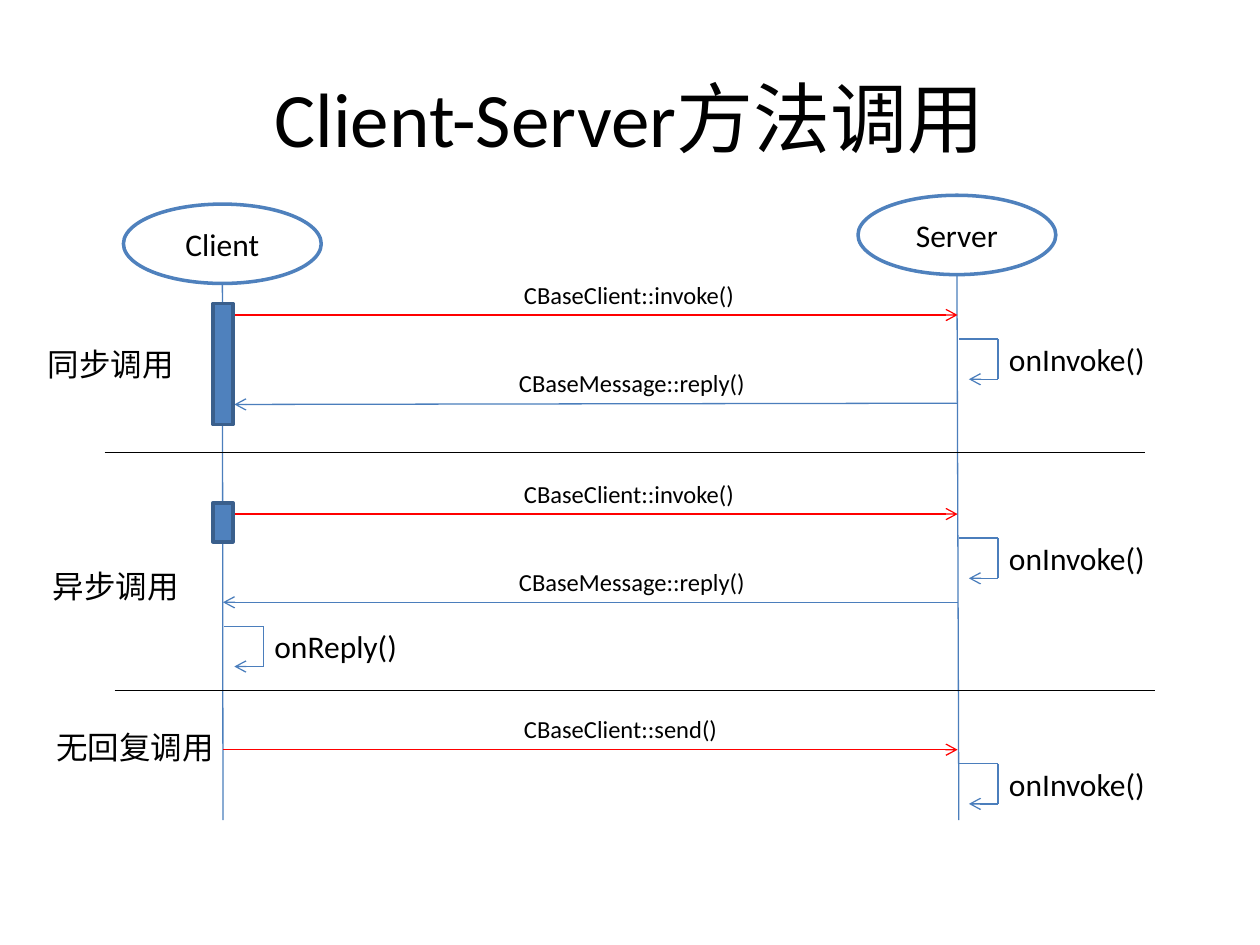
from dataclasses import dataclass

from lxml.etree import SubElement
from pptx import Presentation
from pptx.dml.color import RGBColor as RGB
from pptx.enum.shapes import MSO_CONNECTOR as Link, MSO_SHAPE as Shape
from pptx.enum.text import MSO_ANCHOR as Anchor, PP_ALIGN as Align
from pptx.oxml.ns import qn
from pptx.util import Inches, Pt


@dataclass(frozen=True)
class Theme:
    font: str = "Calibri"
    ink: RGB = RGB(0, 0, 0)
    paper: RGB = RGB(255, 255, 255)
    blue: RGB = RGB(0x4F, 0x81, 0xBD)
    edge: RGB = RGB(0x3A, 0x5F, 0x8C)
    wire: RGB = RGB(0x4B, 0x7E, 0xBC)
    call: RGB = RGB(255, 0, 0)
    title: int = 44
    body: int = 18
    note: int = 14
    thin: float = 0.75
    thick: float = 2


THEME = Theme()
CLIENT, SERVER = 1.77, 7.6
BASE = 6.51


def write(frame, words, size, align=Align.LEFT, anchor=Anchor.TOP):
    frame.word_wrap = True
    frame.vertical_anchor = anchor
    para = frame.paragraphs[0]
    para.alignment = align
    run = para.add_run()
    run.text = words
    run.font.name = THEME.font
    run.font.size = Pt(size)
    run.font.color.rgb = THEME.ink


def add_text(slide, box, words, size, **style):
    area = slide.shapes.add_textbox(*map(Inches, box))
    write(area.text_frame, words, size, **style)


def add_block(slide, kind, box, fill, edge):
    block = slide.shapes.add_shape(kind, *map(Inches, box))
    block.shadow.inherit = False
    block.fill.solid()
    block.fill.fore_color.rgb = fill
    block.line.color.rgb = edge
    block.line.width = Pt(THEME.thick)
    return block


def add_line(slide, start, end, color, arrow=False):
    line = slide.shapes.add_connector(Link.STRAIGHT, *map(Inches, start + end))
    line.line.color.rgb = color
    line.line.width = Pt(THEME.thin)
    if arrow:
        SubElement(line.line._get_or_add_ln(), qn("a:tailEnd"), type="arrow")
    SubElement(line._element.spPr, qn("a:effectLst"))
    return line


def add_actor(slide, box, name, foot):
    left, top, width, height = box
    oval = add_block(slide, Shape.OVAL, box, THEME.paper, THEME.blue)
    write(oval.text_frame, name, THEME.body, Align.CENTER, Anchor.MIDDLE)
    life = add_line(slide, (left + width / 2, top + height), (foot, BASE), THEME.wire)
    life.begin_connect(oval, 2)


def add_loop(slide, box, words):
    left, top, width, height = box
    right, low = left + width, top + height
    add_line(slide, (left, top), (right, top), THEME.wire)
    add_line(slide, (right, top), (right, low), THEME.wire)
    add_line(slide, (right, low), (left + 0.08, low), THEME.wire, arrow=True)
    add_text(slide, (right - 0.01, top - 0.04, 1.73, 0.4), words, THEME.body)


def add_call(slide, top, words, gap):
    add_line(slide, (CLIENT, top), (SERVER, top), THEME.call, arrow=True)
    add_text(slide, (4.06, top - 0.33, 2.99, 0.34), words, THEME.note)
    add_loop(slide, (7.61, top + gap, 0.31, 0.32), "onInvoke()")


def add_reply(slide, top, end):
    add_line(slide, (SERVER, top), end, THEME.wire, arrow=True)
    add_text(slide, (4.02, top - 0.33, 2.99, 0.34), "CBaseMessage::reply()", THEME.note)


def add_bar(slide, top, height):
    box = (CLIENT - 0.08, top, 0.16, height)
    add_block(slide, Shape.RECTANGLE, box, THEME.blue, THEME.edge)


def add_sync(slide, top):
    add_call(slide, top, "CBaseClient::invoke()", 0.19)
    add_reply(slide, top + 0.7, (1.86, top + 0.71))
    add_bar(slide, top - 0.09, 0.96)
    add_text(slide, (0.28, top + 0.19, 1.73, 0.4), "同步调用", THEME.body)


def add_async(slide, top):
    add_call(slide, top, "CBaseClient::invoke()", 0.19)
    add_reply(slide, top + 0.7, (CLIENT, top + 0.7))
    add_loop(slide, (1.78, top + 0.89, 0.31, 0.32), "onReply()")
    add_bar(slide, top - 0.09, 0.31)
    add_text(slide, (0.32, top + 0.37, 1.73, 0.4), "异步调用", THEME.body)


def add_send(slide, top):
    add_call(slide, top, "CBaseClient::send()", 0.11)
    add_text(slide, (0.35, top - 0.22, 1.73, 0.4), "无回复调用", THEME.body)


def main():
    deck = Presentation()
    deck.slide_width, deck.slide_height = Inches(10), Inches(7.5)
    slide = deck.slides.add_slide(deck.slide_layouts[6])
    add_text(slide, (0.5, 0.3, 9, 1.25), "Client-Server方法调用", THEME.title,
             align=Align.CENTER, anchor=Anchor.MIDDLE)
    add_actor(slide, (0.98, 1.62, 1.57, 0.63), "Client", CLIENT)
    add_actor(slide, (6.81, 1.55, 1.57, 0.63), "Server", 7.61)
    add_sync(slide, 2.5)
    add_async(slide, 4.08)
    for left, top in ((0.83, 3.59), (0.91, 5.48)):
        add_line(slide, (left, top), (left + 8.26, top), THEME.ink)
    add_send(slide, 5.95)
    deck.save("out.pptx")


if __name__ == "__main__":
    main()
